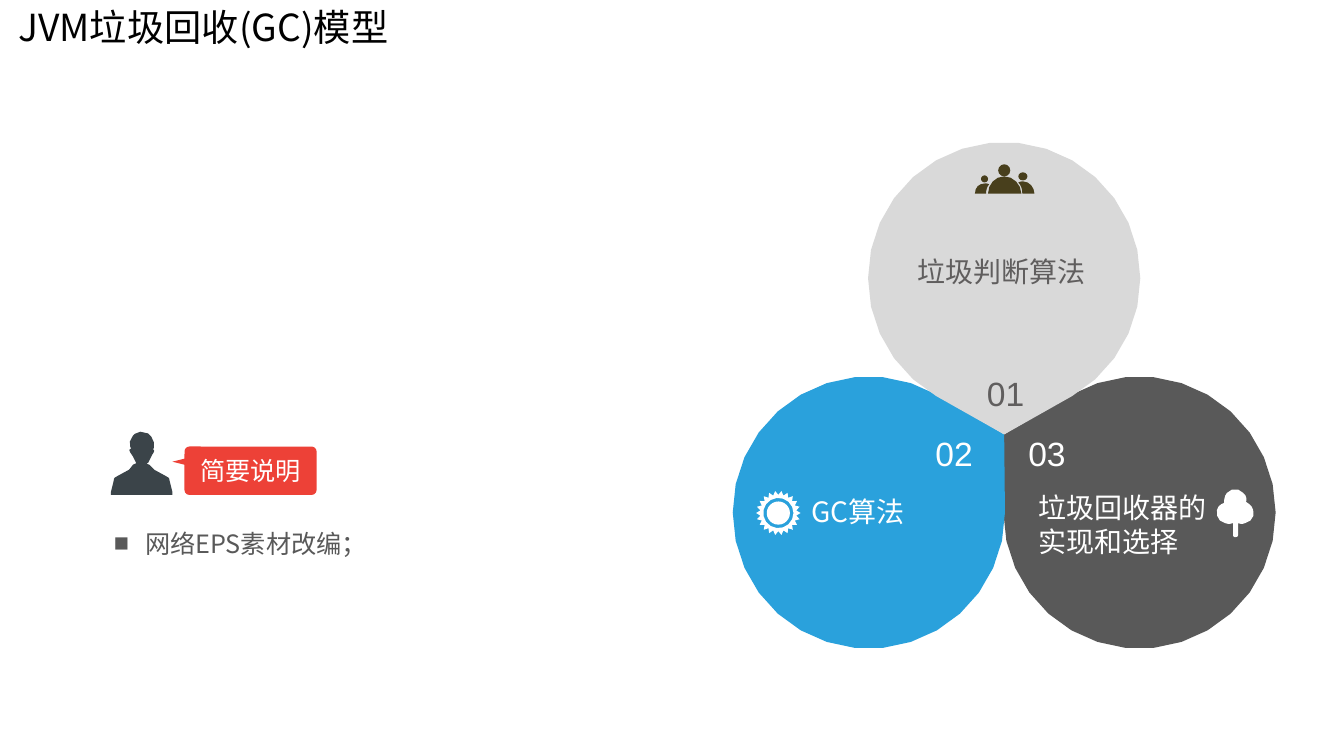
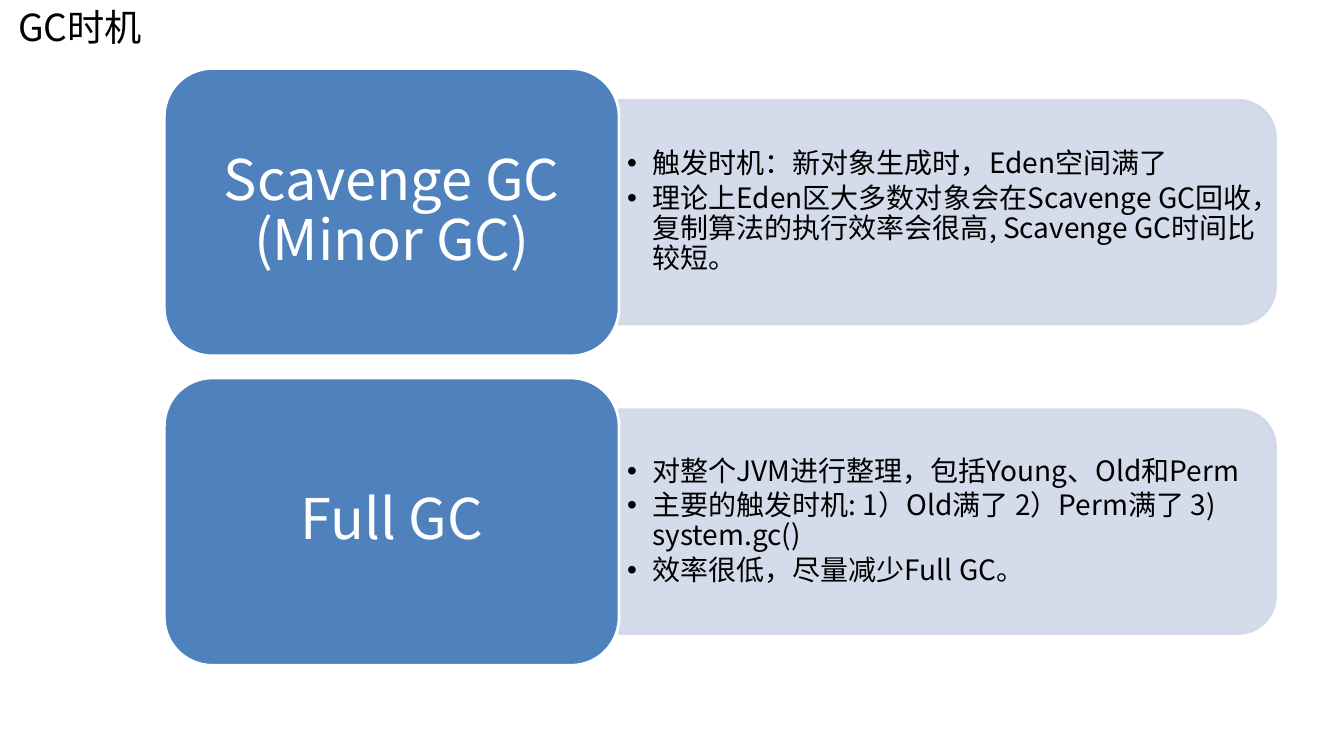
from math import cos, radians, sin

from lxml.etree import SubElement
from pptx import Presentation
from pptx.dml.color import RGBColor
from pptx.enum.shapes import MSO_SHAPE as Shape
from pptx.enum.text import MSO_ANCHOR as Anchor, PP_ALIGN as Align
from pptx.oxml.ns import qn
from pptx.util import Inches, Pt

# Shared style
SANS, LATIN, BODY = "Noto Sans CJK SC", "Arial", "Calibri"
BLACK, WHITE, GREY, MID_GREY = "000000", "FFFFFF", "595959", "605E5E"
LIGHT_GREY, SKY, RED = "D9D9D9", "2AA1DC", "ED4137"
NAVY, OLIVE, CARD, PANEL = "3B4449", "483F1C", "4F81BD", "D0D8E8"
INSETS, TITLE_INSETS = (0.1, 0.05), (0.09, 0.04)

# Slide 1: petals around a hub (angle of the petal, fill)
MODEL_TITLE = "JVM垃圾回收(GC)模型"
HUB, RADIUS, REACH = (9.96, 4.31), 1.35, 1.55
PETALS = [(30, GREY), (150, SKY), (270, LIGHT_GREY)]

# Petal captions: text, box, size, font, colour, wrap
CAPTIONS = [
    ("03", (10.1, 4.25, 0.58, 0.5), 24, LATIN, WHITE, False),
    ("垃圾回收器的实现和选择", (10.2, 4.82, 1.95, 0.77), 20, BODY, WHITE, True),
    ("02", (9.18, 4.25, 0.58, 0.5), 24, LATIN, WHITE, False),
    ("GC算法", (7.95, 4.86, 1.95, 0.44), 20, SANS, WHITE, True),
    ("01", (9.69, 3.65, 0.58, 0.5), 24, LATIN, MID_GREY, False),
    ("垃圾判断算法", (9, 2.48, 2.3, 0.44), 20, BODY, MID_GREY, True),
]
NOTE_LABEL, NOTE = "简要说明", "网络EPS素材改编；"

# Icon outlines: two numbers are a corner, six are a Bézier curve
PERSON = [
    (1.68, 4.76), (1.68, 4.76, 1.69, 4.74, 1.64, 4.72), (1.53, 4.66), (1.48, 4.61),
    (1.46, 4.6, 1.44, 4.6, 1.47, 4.59), (1.5, 4.53),
    (1.51, 4.51), (1.51, 4.51, 1.55, 4.46, 1.52, 4.46),
    (1.52, 4.46, 1.55, 4.39, 1.5, 4.33), (1.47, 4.3),
    (1.38, 4.25, 1.32, 4.32, 1.32, 4.32), (1.26, 4.38, 1.3, 4.45, 1.3, 4.45),
    (1.26, 4.45, 1.3, 4.5, 1.3, 4.5), (1.32, 4.53),
    (1.35, 4.59), (1.36, 4.6, 1.33, 4.6, 1.32, 4.61),
    (1.28, 4.66), (1.17, 4.72), (1.12, 4.74, 1.13, 4.76, 1.13, 4.76),
    (1.1, 4.88), (1.1, 4.91), (1.71, 4.91), (1.71, 4.88),
]
TREE = [
    (12.43, 5.06), (12.42, 5.02, 12.39, 5, 12.36, 4.98),
    (12.37, 4.95, 12.36, 4.91, 12.33, 4.89), (12.29, 4.84, 12.21, 4.84, 12.17, 4.89),
    (12.15, 4.91, 12.14, 4.95, 12.14, 4.99), (12.11, 5, 12.08, 5.02, 12.07, 5.06),
    (12.06, 5.12, 12.09, 5.18, 12.15, 5.19), (12.18, 5.2, 12.2, 5.2, 12.23, 5.19),
    (12.23, 5.31), (12.23, 5.32, 12.24, 5.33, 12.25, 5.33),
    (12.27, 5.33, 12.28, 5.32, 12.28, 5.31), (12.28, 5.19),
    (12.3, 5.2, 12.33, 5.2, 12.35, 5.19), (12.41, 5.18, 12.45, 5.12, 12.43, 5.06),
]
SHOULDERS = [
    [(9.96, 1.75), (9.87, 1.75, 9.8, 1.83, 9.8, 1.92), (10.13, 1.92),
     (10.13, 1.83, 10.05, 1.75, 9.96, 1.75)],
    [(9.81, 1.83), (9.8, 1.82, 9.78, 1.82, 9.77, 1.82),
     (9.71, 1.82, 9.67, 1.86, 9.67, 1.92), (9.78, 1.92),
     (9.78, 1.89, 9.79, 1.85, 9.81, 1.83)],
    [(10.15, 1.8), (10.13, 1.8, 10.12, 1.8, 10.1, 1.81),
     (10.13, 1.84, 10.14, 1.88, 10.14, 1.92), (10.26, 1.92),
     (10.26, 1.86, 10.21, 1.8, 10.15, 1.8)],
]
HEADS = [(9.9, 1.63, 0.12, 0.12), (10.1, 1.71, 0.09, 0.08), (9.73, 1.74, 0.07, 0.07)]
SUN, SUN_CORE, SUN_HOLE, SUN_VALLEY, SUN_TIP, SUN_RAYS = (7.72, 5.09), 0.115, 0.15, 0.18, 0.22, 22

# Slide 2: card heading and its points
TIMING_TITLE = "GC时机"
TIMINGS = [
    ("Scavenge GC (Minor GC)", [
        "触发时机：新对象生成时，Eden空间满了",
        "理论上Eden区大多数对象会在Scavenge GC回收，复制算法的执行效率会很高, Scavenge GC时间比较短。",
    ]),
    ("Full GC", [
        "对整个JVM进行整理，包括Young、Old和Perm",
        "主要的触发时机: 1）Old满了 2）Perm满了 3) system.gc()",
        "效率很低，尽量减少Full GC。",
    ]),
]
CARD_LEFT, CARD_TOP, CARD_WIDTH, CARD_HEIGHT, CARD_PITCH = 1.63, 0.68, 4.51, 2.85, 3.07
PANEL_WIDTH, PANEL_HEIGHT, POINTS_WIDTH, POINTS_HEIGHT = 6.51, 2.22, 6.4, 2.01


def rgb(color):
    return RGBColor.from_string(color)


def write(frame, lines, size, font, color, align=Align.LEFT, anchor=Anchor.TOP,
          insets=INSETS, spacing=None, after=0, bullet=None, indent=0, wrap=True):
    """Fill a text frame with equally formatted paragraphs."""
    frame.word_wrap, frame.vertical_anchor = wrap, anchor
    frame.margin_left = frame.margin_right = Inches(insets[0])
    frame.margin_top = frame.margin_bottom = Inches(insets[1])
    frame.text = "\n".join(lines)
    for paragraph in frame.paragraphs:
        paragraph.alignment = align
        paragraph.space_after = Pt(after)
        if spacing:
            paragraph.line_spacing = spacing
        if bullet:
            props = paragraph._p.get_or_add_pPr()
            props.set("marL", str(Inches(indent)))
            props.set("indent", str(-Inches(indent)))
            SubElement(props, qn("a:buFont")).set("typeface", LATIN)
            SubElement(props, qn("a:buChar")).set("char", bullet)
        for run in paragraph.runs:
            run.font.size, run.font.name = Pt(size), font
            run.font.color.rgb = rgb(color)
            SubElement(run._r.get_or_add_rPr(), qn("a:ea")).set("typeface", font)


def paint(shape, fill, line=None, alpha=None):
    shape.shadow.inherit = False
    shape.fill.solid()
    shape.fill.fore_color.rgb = rgb(fill)
    if line:
        shape.line.color.rgb = rgb(line)
        shape.line.width = Pt(2)
    else:
        shape.line.fill.background()
    if alpha:
        for color in shape._element.spPr.iter(qn("a:srgbClr")):
            SubElement(color, qn("a:alpha")).set("val", str(alpha * 1000))
    return shape


def add_block(slide, preset, box, fill, **look):
    return paint(slide.shapes.add_shape(preset, *map(Inches, box)), fill, **look)


def add_text(slide, box, lines, *style, **layout):
    write(slide.shapes.add_textbox(*map(Inches, box)).text_frame, lines, *style, **layout)


def add_outline(slide, contours, fill):
    first, *others = [[(Inches(x), Inches(y)) for x, y in points] for points in contours]
    builder = slide.shapes.build_freeform(*first[0])
    builder.add_line_segments(first[1:], close=True)
    for points in others:
        builder.move_to(*points[0])
        builder.add_line_segments(points[1:], close=True)
    paint(builder.convert_to_shape(), fill)


def trace(outline, steps):
    """Turn corners and Bézier curves into points."""
    points = [outline[0]]
    for part in outline[1:]:
        if len(part) == 2:
            points.append(part)
            continue
        knots = [points[-1], part[:2], part[2:4], part[4:]]
        for step in range(1, steps + 1):
            t = step / steps
            weights = ((1 - t) ** 3, 3 * t * (1 - t) ** 2, 3 * t * t * (1 - t), t ** 3)
            points.append(tuple(sum(w * knot[axis] for w, knot in zip(weights, knots))
                                for axis in (0, 1)))
    return points


def polar(center, radius, angle):
    return (center[0] + radius * cos(radians(angle)),
            center[1] + radius * sin(radians(angle)))


def add_titled_slide(deck, title, width):
    slide = deck.slides.add_slide(deck.slide_layouts[5])
    heading = slide.shapes.title
    heading.left, heading.top = Inches(0.09), Inches(0)
    heading.width, heading.height = Inches(width), Inches(0.55)
    write(heading.text_frame, [title], 26.6, SANS, BLACK, insets=TITLE_INSETS)
    return slide


def build_model(deck):
    slide = add_titled_slide(deck, MODEL_TITLE, 4.93)

    # Short note with its label
    add_outline(slide, [trace(PERSON, 3)], NAVY)
    add_text(slide, (1.03, 5.13, 3.89, 0.43), [NOTE], 18, SANS, GREY,
             spacing=1.2, bullet="■", indent=0.31)
    label = add_block(slide, Shape.ROUNDED_RECTANGLE, (1.83, 4.43, 1.31, 0.48), RED)
    label.adjustments[0] = 0.1
    write(label.text_frame, [NOTE_LABEL], 18, SANS, WHITE, align=Align.CENTER,
          anchor=Anchor.MIDDLE, insets=(0, 0))
    pointer = add_block(slide, Shape.ISOSCELES_TRIANGLE, (1.75, 4.5, 0.08, 0.16), RED)
    pointer.rotation = 270

    # Petals: an arc between the two tangents from the hub
    for angle, fill in PETALS:
        center = polar(HUB, REACH, angle)
        arc = [polar(center, RADIUS, angle + turn) for turn in range(-150, 151, 12)]
        add_outline(slide, [[HUB] + arc], fill)

    # Icons
    for head in HEADS:
        add_block(slide, Shape.OVAL, head, OLIVE)
    for shoulder in SHOULDERS:
        add_outline(slide, [trace(shoulder, 4)], OLIVE)
    core_box = (SUN[0] - SUN_CORE, SUN[1] - SUN_CORE, 2 * SUN_CORE, 2 * SUN_CORE)
    add_block(slide, Shape.OVAL, core_box, WHITE)
    rays = [polar(SUN, SUN_VALLEY if k % 2 else SUN_TIP, k * 180 / SUN_RAYS)
            for k in range(2 * SUN_RAYS)]
    hole = [polar(SUN, SUN_HOLE, -angle) for angle in range(0, 360, 24)]
    add_outline(slide, [rays, hole], WHITE)
    add_outline(slide, [trace(TREE, 3)], WHITE)

    for text, box, size, font, color, wrap in CAPTIONS:
        add_text(slide, box, [text], size, font, color, wrap=wrap)


def build_timing(deck):
    slide = add_titled_slide(deck, TIMING_TITLE, 8.55)
    panel_left = CARD_LEFT + CARD_WIDTH
    for row, (heading, points) in enumerate(TIMINGS):
        top = CARD_TOP + row * CARD_PITCH
        middle = top + CARD_HEIGHT / 2

        # Panel turned on its side, so its rounded end faces right
        panel_box = (panel_left + (PANEL_WIDTH - PANEL_HEIGHT) / 2,
                     middle - PANEL_WIDTH / 2, PANEL_HEIGHT, PANEL_WIDTH)
        panel = add_block(slide, Shape.ROUND_2_SAME_RECTANGLE, panel_box, PANEL,
                          line=PANEL, alpha=90)
        panel.rotation = 90
        add_text(slide, (panel_left, middle - POINTS_HEIGHT / 2, POINTS_WIDTH, POINTS_HEIGHT),
                 points, 20, SANS, BLACK, anchor=Anchor.MIDDLE, insets=(0.08, 0.04),
                 spacing=0.9, after=3, bullet="•", indent=0.25)

        card = add_block(slide, Shape.ROUNDED_RECTANGLE,
                         (CARD_LEFT, top, CARD_WIDTH, CARD_HEIGHT), CARD, line=WHITE)
        write(card.text_frame, [heading], 40, SANS, WHITE, align=Align.CENTER,
              anchor=Anchor.MIDDLE, insets=(0.17, 0.08), spacing=0.9)


def main():
    deck = Presentation()
    deck.slide_width, deck.slide_height = Inches(13.33), Inches(7.5)
    build_model(deck)
    build_timing(deck)
    deck.save("out.pptx")


if __name__ == "__main__":
    main()
